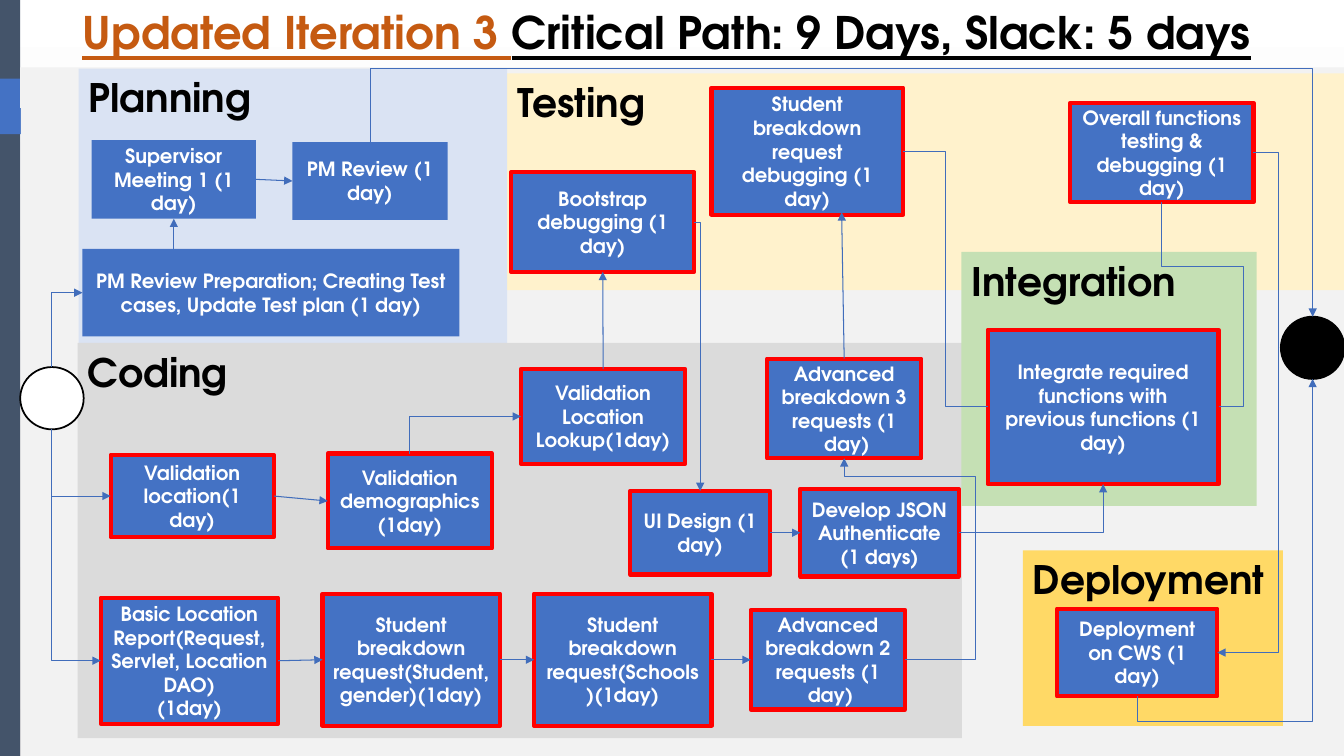
from lxml.etree import SubElement
from pptx import Presentation
from pptx.dml.color import RGBColor
from pptx.enum.shapes import MSO_CONNECTOR, MSO_SHAPE
from pptx.enum.text import MSO_ANCHOR, PP_ALIGN
from pptx.oxml.ns import qn
from pptx.util import Cm, Pt

FONT = "TeX Gyre Adventor"
BLACK = RGBColor(0x00, 0x00, 0x00)
WHITE = RGBColor(0xFF, 0xFF, 0xFF)
RED = RGBColor(0xFF, 0x00, 0x00)
BLUE = RGBColor(0x44, 0x72, 0xC4)
ARROW_BLUE = RGBColor(0x41, 0x6D, 0xBB)
SLATE = RGBColor(0x44, 0x54, 0x6A)
ORANGE = RGBColor(0xC5, 0x5A, 0x11)
PALE_GREY = RGBColor(0xF2, 0xF2, 0xF2)
BACKGROUND_GREY = RGBColor(0xE1, 0xDF, 0xDF)

# Positions are left, top, width, height in centimetres.
TITLE = [("Updated Iteration 3 ", ORANGE),
         ("Critical Path: 9 Days, Slack: 5 days", BLACK)]

BACKDROP = [
    (MSO_SHAPE.RECTANGLE, (0, 0, 0.51, 19.05), SLATE),
    (MSO_SHAPE.PENTAGON, (0, 1.98, 4.42, 1.4), BLUE),
    (MSO_SHAPE.RECTANGLE, (0.53, 1.73, 33.35, 17.32), PALE_GREY),
    (MSO_SHAPE.RECTANGLE, (0.51, 1.7, 33.38, 1.02), PALE_GREY),
]

PHASES = [
    ("Testing", (12.78, 1.85, 21.11, 5.46), RGBColor(0xFF, 0xF2, 0xCC)),
    ("Planning", (1.98, 1.73, 10.8, 7.57), RGBColor(0xDA, 0xE3, 0xF3)),
    ("Coding", (1.96, 8.64, 22.28, 9.96), RGBColor(0xDB, 0xDB, 0xDB)),
    ("Deployment", (25.78, 13.87, 6.55, 4.42), RGBColor(0xFF, 0xD9, 0x66)),
    ("Integration", (24.23, 6.35, 7.44, 6.4), RGBColor(0xC5, 0xE0, 0xB4)),
]

TERMINALS = {
    "start": ((0.51, 9.25, 1.6, 1.57), WHITE),
    "end": ((32.28, 7.98, 1.6, 1.57), BLACK),
}

PLANNING_TASKS = {
    "preparation": ("PM Review Preparation; Creating Test cases, Update Test plan (1 day)",
                    (2.08, 6.27, 9.5, 2.21)),
    "meeting": ("Supervisor Meeting 1 (1 day)", (2.31, 3.53, 4.14, 1.98)),
    "review": ("PM Review (1 day)", (7.37, 3.58, 3.91, 1.96)),
}

CRITICAL_TASKS = {
    "overall": ("Overall functions testing & debugging (1 day)", (26.97, 2.59, 4.62, 2.51)),
    "deploy": ("Deployment on CWS (1 day)", (26.64, 15.34, 4.04, 2.21)),
    "ui": ("UI Design (1 day)", (15.88, 12.37, 3.53, 2.11)),
    "location": ("Validation location(1 day)", (2.79, 11.46, 4.11, 2.08)),
    "demographics": ("Validation demographics(1day)", (8.26, 11.43, 4.14, 2.39)),
    "lookup": ("Validation Location Lookup(1day)", (13.13, 9.3, 4.14, 2.39)),
    "report": ("Basic Location Report(Request, Servlet, Location DAO)\n(1day)",
               (2.54, 15.06, 4.47, 3.18)),
    "gender": ("Student breakdown request(Student, gender)(1day)", (8.13, 14.96, 4.47, 3.33)),
    "schools": ("Student breakdown request(Schools)(1day)", (13.46, 14.96, 4.47, 3.33)),
    "advanced 2": ("Advanced breakdown 2 requests (1\n day)", (18.92, 15.37, 3.89, 2.51)),
    "advanced 3": ("Advanced breakdown 3 requests (1\n day)", (19.33, 9.04, 3.89, 2.51)),
    "bootstrap": ("Bootstrap debugging (1 day)", (12.88, 4.34, 4.62, 2.51)),
    "breakdown": ("Student breakdown request debugging (1 day)", (17.93, 2.21, 4.83, 3.2)),
    "integrate": ("Integrate required functions with previous functions (1 day)",
                  (24.89, 8.31, 5.82, 3.89)),
    "json": ("Develop JSON Authenticate\n(1 days)", (20.17, 12.32, 3.99, 2.21)),
}

# An end is (box, side) or a plain point in centimetres.
STRAIGHT_ARROWS = [
    ((4.38, 6.27), ("meeting", "bottom")),
    (("meeting", "right"), ("review", "left")),
    (("location", "right"), ("demographics", "left")),
    (("report", "right"), ("gender", "left")),
    (("gender", "right"), ("schools", "left")),
    (("schools", "right"), ("advanced 2", "left")),
    (("lookup", "top"), ("bootstrap", "bottom")),
    (("advanced 3", "top"), (21.21, 5.35)),
    (("ui", "right"), ("json", "left")),
]

# Start, end, positions of the inner segments, arrowhead.
ELBOWS = [
    (("start", "bottom"), ("report", "left"), [], True),
    (("start", "bottom"), ("location", "left"), [], True),
    (("start", "top"), ("preparation", "left"), [], True),
    (("review", "top"), ("end", "top"), [1.73], True),
    (("overall", "right"), ("deploy", "right"), [32.23], True),
    (("deploy", "bottom"), ("end", "bottom"), [18.19], True),
    (("demographics", "top"), ("lookup", "left"), [], True),
    (("breakdown", "right"), ("integrate", "left"), [23.83], False),
    (("integrate", "right"), ("overall", "bottom"), [31.34, 6.71], False),
    (("json", "right"), ("integrate", "bottom"), [], True),
    (("bootstrap", "right"), ("ui", "top"), [], True),
    (("advanced 2", "right"), ("advanced 3", "bottom"), [24.59, 12.01], True),
]

SIDES = {"left": (0, 0.5), "right": (1, 0.5), "top": (0.5, 0), "bottom": (0.5, 1)}

presentation = Presentation()
presentation.slide_width, presentation.slide_height = Cm(33.87), Cm(19.05)
slide = presentation.slides.add_slide(presentation.slide_layouts[6])
frames = {}


def style_run(run, size, color):
    run.font.name, run.font.size, run.font.bold = FONT, Pt(size), True
    run.font.color.rgb = color


def add_box(kind, frame, fill, line=None, line_width=0):
    shape = slide.shapes.add_shape(kind, *map(Cm, frame))
    shape.shadow.inherit = False
    shape.fill.solid()
    shape.fill.fore_color.rgb = fill
    if line is None:
        shape.line.fill.background()
    else:
        shape.line.color.rgb = line
        shape.line.width = Pt(line_width)
    return shape


def write(shape, text, size, color, alignment, anchor):
    shape.text_frame.text = text
    shape.text_frame.vertical_anchor = anchor
    for paragraph in shape.text_frame.paragraphs:
        paragraph.alignment = alignment
        for run in paragraph.runs:
            style_run(run, size, color)


def locate(end):
    """Return the point in centimetres that an end of a connector stands for."""
    if end[0] not in frames:
        return end
    left, top, width, height = frames[end[0]]
    across, down = SIDES[end[1]]
    return left + across * width, top + down * height


def style_connector(connector, arrowhead):
    connector.line.color.rgb = ARROW_BLUE
    connector.line.width = Pt(0.75)
    properties = connector.element.spPr
    if arrowhead:
        SubElement(properties.find(qn("a:ln")), qn("a:tailEnd"), type="triangle")
    SubElement(properties, qn("a:effectLst"))


def add_elbow(start, end, bends, arrowhead):
    """Add a bent connector; one that leaves vertically is a rotated horizontal one."""
    first, last = locate(start), locate(end)
    delta = [b - a for a, b in zip(first, last)]
    vertical = start[1] in ("top", "bottom")
    width, height = abs(delta[0]), abs(delta[1])
    center_x, center_y = first[0] + delta[0] / 2, first[1] + delta[1] / 2
    if vertical:
        width, height = height, width
    left, top = center_x - width / 2, center_y - height / 2
    connector = slide.shapes.add_connector(
        MSO_CONNECTOR.ELBOW, Cm(left), Cm(top), Cm(left + width), Cm(top + height))

    upward = delta[1] < 0
    transform = connector.element.spPr.find(qn("a:xfrm"))
    if vertical:
        transform.set("rot", str((90 if upward else 270) * 60000))
    transform.set("flipH", str(int(vertical or delta[0] < 0)))
    transform.set("flipV", str(int(upward)))

    geometry = connector.element.spPr.find(qn("a:prstGeom"))
    geometry.set("prst", f"bentConnector{len(bends) + 2}")
    adjustments = geometry.find(qn("a:avLst"))
    for index, bend in enumerate(bends):
        axis = (index + vertical) % 2
        ratio = round((bend - first[axis]) / delta[axis] * 100000)
        SubElement(adjustments, qn("a:gd"), name=f"adj{index + 1}", fmla=f"val {ratio}")
    style_connector(connector, arrowhead)


background = slide.background.fill
background.gradient()
background.gradient_angle = 270
for stop, color in zip(background.gradient_stops, (WHITE, BACKGROUND_GREY)):
    stop.color.rgb = color

for kind, frame, fill in BACKDROP:
    add_box(kind, frame, fill)
for name, frame, fill in PHASES:
    write(add_box(MSO_SHAPE.RECTANGLE, frame, fill), name, 28, BLACK,
          PP_ALIGN.LEFT, MSO_ANCHOR.TOP)

title = slide.shapes.add_textbox(0, 0, Cm(33.6), Cm(3.68))
title.text_frame.word_wrap = True
title_paragraph = title.text_frame.paragraphs[0]
title_paragraph.alignment = PP_ALIGN.CENTER
for text, color in TITLE:
    run = title_paragraph.add_run()
    run.text = text
    style_run(run, 32, color)
    run.font.underline = True

for name, (frame, fill) in TERMINALS.items():
    frames[name] = frame
    add_box(MSO_SHAPE.OVAL, frame, fill, BLACK, 1.25)
for tasks, border in ((PLANNING_TASKS, None), (CRITICAL_TASKS, RED)):
    for name, (text, frame) in tasks.items():
        frames[name] = frame
        write(add_box(MSO_SHAPE.RECTANGLE, frame, BLUE, border, 3), text, 14, WHITE,
              PP_ALIGN.CENTER, MSO_ANCHOR.MIDDLE)

for start, end in STRAIGHT_ARROWS:
    points = [Cm(value) for value in locate(start) + locate(end)]
    style_connector(slide.shapes.add_connector(MSO_CONNECTOR.STRAIGHT, *points), True)
for elbow in ELBOWS:
    add_elbow(*elbow)

presentation.save("out.pptx")
